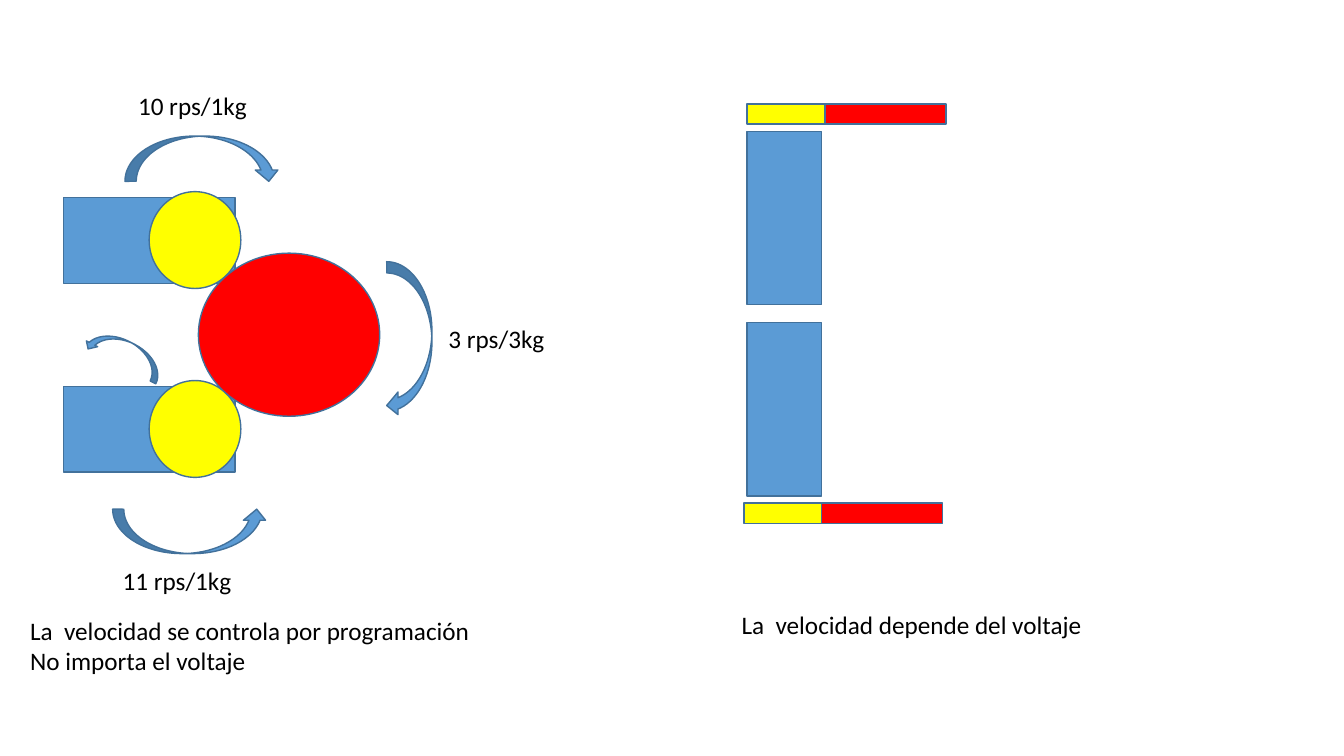
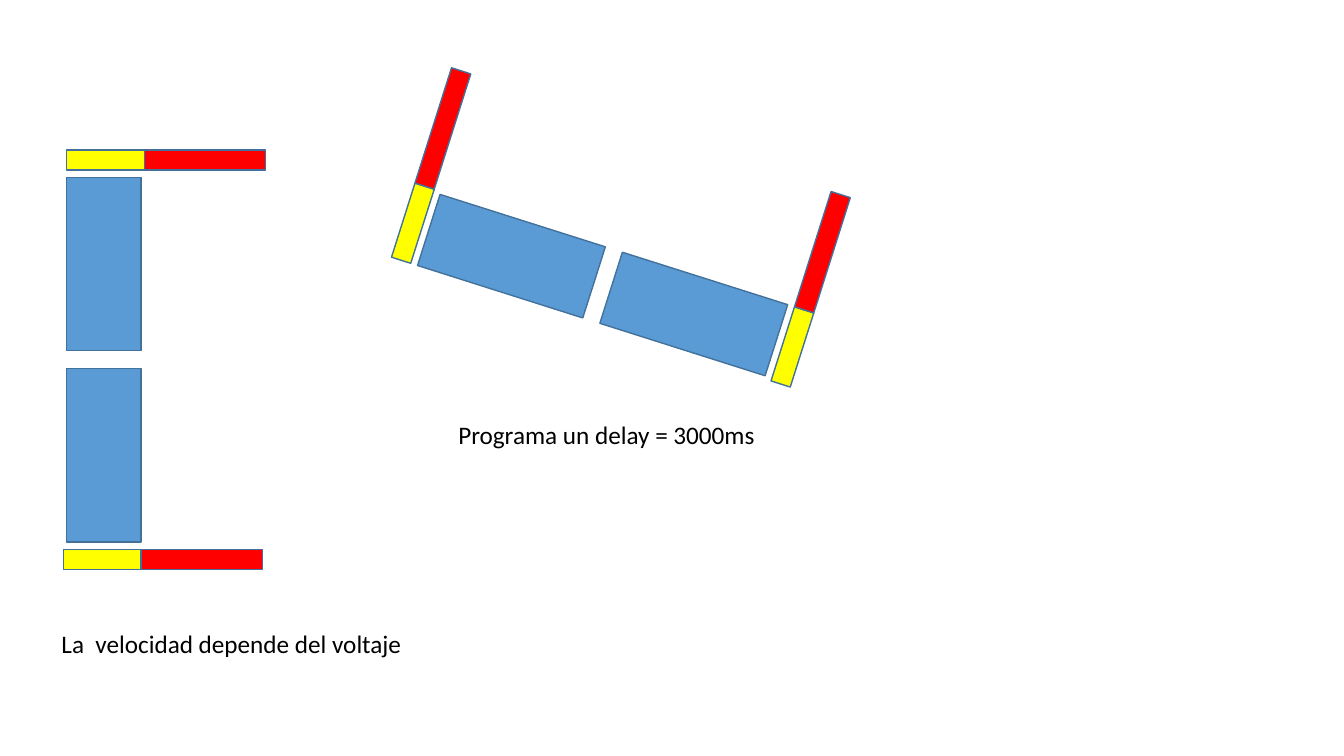
"""Builds two slides that compare gear and gripper speeds."""
import math

import pptx
import pptx.dml.color
import pptx.enum.shapes
import pptx.util

Cm = pptx.util.Cm
SHAPES = pptx.enum.shapes.MSO_SHAPE

FONT = "Calibri"
BLUE, YELLOW, RED = "5B9BD5", "FFFF00", "FF0000"
OUTLINE, BLACK = "42719B", "000000"

VOLTAGE_CAPTION = "La  velocidad depende del voltaje"
GRIPPER_WIDTH, GRIPPER_HEIGHT = 5.1, 10.57
GEAR_PITCH = 4.76


def paint(color_format, hex_color):
    """Set a colour format from a hex string."""
    color_format.rgb = pptx.dml.color.RGBColor.from_string(hex_color)


def add_part(shapes, kind, left, top, width, height, color, angle=0):
    """Add an outlined, filled shape and return it."""
    part = shapes.add_shape(kind, Cm(left), Cm(top), Cm(width), Cm(height))
    part.shadow.inherit = False
    part.rotation = angle
    part.fill.solid()
    paint(part.fill.fore_color, color)
    paint(part.line.color, OUTLINE)
    part.line.width = pptx.util.Pt(1)
    return part


def add_label(slide, text, left, top, width, height=1.02):
    """Add a wrapped text box in the shared label style."""
    label = slide.shapes.add_textbox(Cm(left), Cm(top), Cm(width), Cm(height))
    frame = label.text_frame
    frame.word_wrap = True
    frame.text = text
    for paragraph in frame.paragraphs:
        for run in paragraph.runs:
            run.font.name = FONT
            run.font.size = pptx.util.Pt(18)
            paint(run.font.color, BLACK)


def add_turn_arrow(slide, left, top, width, height, angle, mirrored):
    """Add a curved arrow that shows a direction of rotation."""
    arrow = add_part(slide.shapes, SHAPES.CURVED_DOWN_ARROW,
                     left, top, width, height, BLUE, angle)
    if mirrored:
        arrow._element.spPr.get_or_add_xfrm().set("flipH", "1")


def draw_gear_train(slide, left, top):
    """Draw two motors that drive a large gear, with turns and speeds."""
    for row in range(2):
        offset = top + row * GEAR_PITCH
        add_part(slide.shapes, SHAPES.RECTANGLE, left, offset + 2.82, 4.32, 2.16, BLUE)
        add_part(slide.shapes, SHAPES.OVAL, left + 2.16, offset + 2.67, 2.31, 2.44, YELLOW)
    add_part(slide.shapes, SHAPES.OVAL, left + 3.4, top + 4.22, 4.57, 4.11, RED)

    turns = [
        (1.55, 1.27, 3.91, 1.14, 0, False),
        (1.24, 10.67, 3.91, 1.12, 180, True),
        (6.76, 5.82, 3.91, 1.14, 90, False),
        (0.51, 6.43, 2.08, 0.64, 27.3, True),
    ]
    for x, y, width, height, angle, mirrored in turns:
        add_turn_arrow(slide, left + x, top + y, width, height, angle, mirrored)

    speeds = [
        ("10 rps/1kg", 1.63, 0, 3.86),
        ("11 rps/1kg", 1.24, 11.96, 4.32),
        ("3 rps/3kg", 9.45, 5.87, 3.2),
    ]
    for text, x, y, width in speeds:
        add_label(slide, text, left + x, top + y, width)


def draw_gripper(slide, left, top, angle=0):
    """Draw a two-motor gripper turned by an angle about its box centre."""
    parts = [
        (0.08, 0.69, 1.88, 4.37, BLUE),
        (0.08, 0, 1.96, 0.51, YELLOW),
        (2.04, 0, 3.05, 0.51, RED),
        (0.08, 5.51, 1.88, 4.37, BLUE),
        (0, 10.06, 1.96, 0.51, YELLOW),
        (1.96, 10.06, 3.05, 0.51, RED),
    ]
    gripper = slide.shapes.add_group_shape()
    cos, sin = math.cos(math.radians(angle)), math.sin(math.radians(angle))
    for x, y, width, height, color in parts:
        dx = x + width / 2 - GRIPPER_WIDTH / 2
        dy = y + height / 2 - GRIPPER_HEIGHT / 2
        center_x = left + GRIPPER_WIDTH / 2 + dx * cos - dy * sin
        center_y = top + GRIPPER_HEIGHT / 2 + dx * sin + dy * cos
        add_part(gripper.shapes, SHAPES.RECTANGLE, center_x - width / 2,
                 center_y - height / 2, width, height, color, angle)


def build_control_slide(slide):
    """Compare programmed speed with voltage-driven speed."""
    draw_gear_train(slide, 1.6, 2.16)
    add_label(slide, "La  velocidad se controla por programación\nNo importa el voltaje",
              0.51, 15.37, 11.71, 1.8)
    draw_gripper(slide, 18.75, 2.62)
    add_label(slide, VOLTAGE_CAPTION, 18.44, 15.24, 9.19)


def build_delay_slide(slide):
    """Show the gripper at rest and turned after a delay."""
    draw_gripper(slide, 1.6, 3.78)
    add_label(slide, VOLTAGE_CAPTION, 1.3, 15.72, 9.19)
    draw_gripper(slide, 13.1, 0.44, 287.6)
    add_label(slide, "Programa un delay = 3000ms", 11.3, 10.44, 8.2)


def main():
    """Build and save the presentation."""
    deck = pptx.Presentation()
    deck.slide_width, deck.slide_height = Cm(33.87), Cm(19.05)
    for build in (build_control_slide, build_delay_slide):
        build(deck.slides.add_slide(deck.slide_layouts[6]))
    deck.save("out.pptx")


if __name__ == "__main__":
    main()
